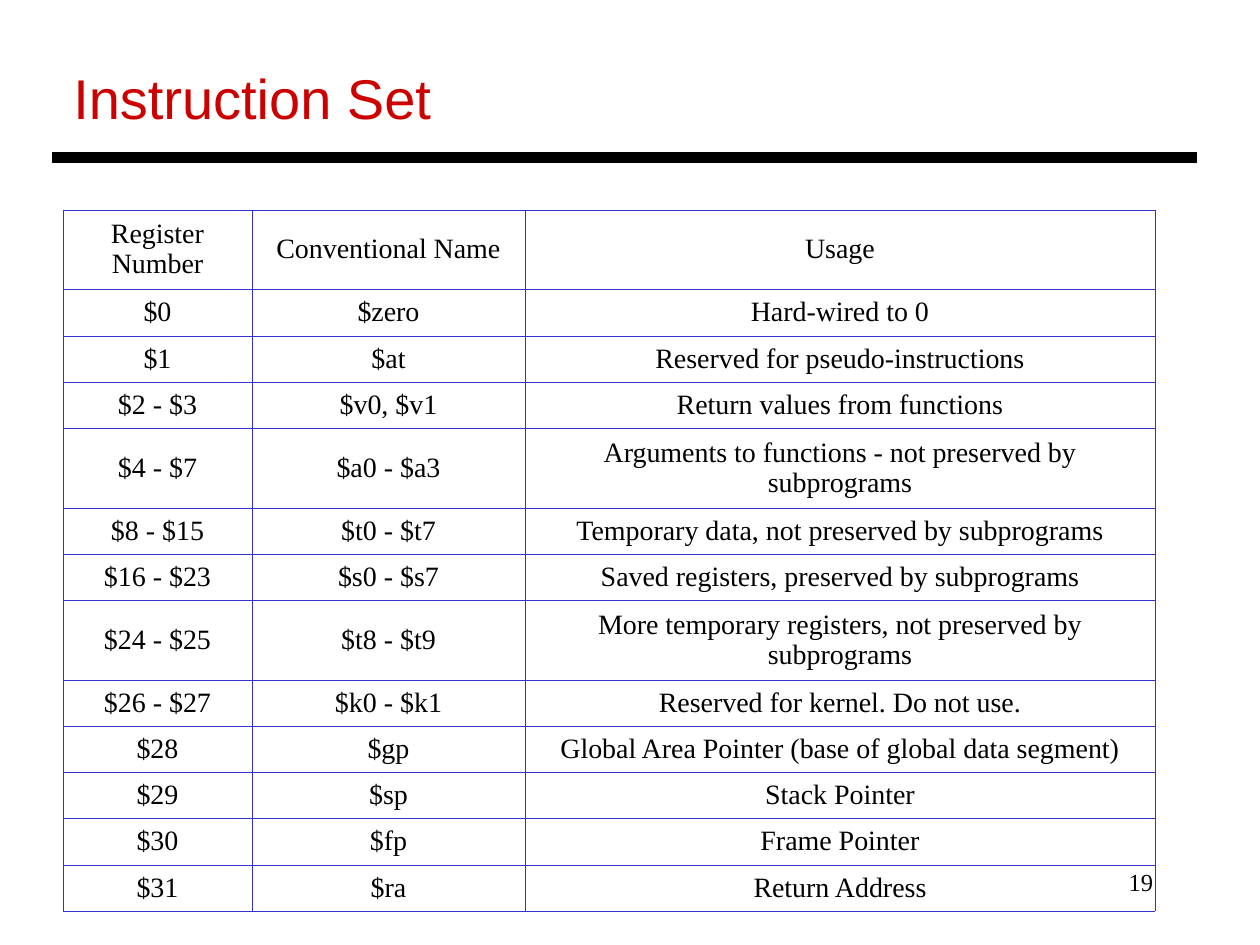
from lxml.etree import SubElement
from pptx import Presentation
from pptx.dml.color import RGBColor
from pptx.enum.shapes import MSO_CONNECTOR
from pptx.enum.text import MSO_ANCHOR, PP_ALIGN
from pptx.oxml import parse_xml
from pptx.oxml.ns import nsdecls, qn
from pptx.util import Pt

BLACK = RGBColor(0x00, 0x00, 0x00)
RED = RGBColor(0xCC, 0x00, 0x00)
BORDER_BLUE = RGBColor(0x33, 0x33, 0xCC)

COLUMN_WIDTHS = [108, 156, 360]
SINGLE_ROW = 26.4
DOUBLE_ROW = 45.6
TWO_LINE_ROWS = {0, 4, 7}

REGISTERS = [
    ("Register Number", "Conventional Name", "Usage"),
    ("$0", "$zero", "Hard-wired to 0"),
    ("$1", "$at", "Reserved for pseudo-instructions"),
    ("$2 - $3", "$v0, $v1", "Return values from functions"),
    ("$4 - $7", "$a0 - $a3", "Arguments to functions - not preserved by subprograms"),
    ("$8 - $15", "$t0 - $t7", "Temporary data, not preserved by subprograms"),
    ("$16 - $23", "$s0 - $s7", "Saved registers, preserved by subprograms"),
    ("$24 - $25", "$t8 - $t9", "More temporary registers, not preserved by subprograms"),
    ("$26 - $27", "$k0 - $k1", "Reserved for kernel. Do not use."),
    ("$28", "$gp", "Global Area Pointer (base of global data segment)"),
    ("$29", "$sp", "Stack Pointer"),
    ("$30", "$fp", "Frame Pointer"),
    ("$31", "$ra", "Return Address"),
]


class SlideBuilder:
    """Holds the text style and the current slide."""

    body_font = "Times New Roman"
    title_font = "Arial"

    def __init__(self, slide):
        self.slide = slide

    def add_run(self, paragraph, text, size, font=body_font, color=BLACK):
        run = paragraph.add_run()
        run.text = text
        run.font.size = Pt(size)
        run.font.name = font
        run.font.color.rgb = color

    def text(self, box, text, size, align=PP_ALIGN.LEFT, wrap=True, **style):
        shape = self.slide.shapes.add_textbox(*map(Pt, box))
        shape.text_frame.word_wrap = wrap
        paragraph = shape.text_frame.paragraphs[0]
        paragraph.alignment = align
        self.add_run(paragraph, text, size, **style)

    def line(self, start, end, width, color=BLACK):
        connector = self.slide.shapes.add_connector(
            MSO_CONNECTOR.STRAIGHT, *map(Pt, start + end))
        connector.line.width = Pt(width)
        connector.line.color.rgb = color
        SubElement(connector._element.spPr, qn("a:effectLst"))

    def border(self, cell, width, color):
        properties = cell._tc.get_or_add_tcPr()
        for position, side in enumerate(("lnL", "lnR", "lnT", "lnB")):
            properties.insert(position, parse_xml(
                f'<a:{side} {nsdecls("a")} w="{Pt(width)}"><a:solidFill>'
                f'<a:srgbClr val="{color}"/></a:solidFill></a:{side}>'))

    def table(self, left, top, rows, column_widths, row_heights, size):
        frame = self.slide.shapes.add_table(
            len(rows), len(column_widths), Pt(left), Pt(top),
            Pt(sum(column_widths)), Pt(sum(row_heights)))
        table = frame.table
        table.first_row = table.horz_banding = False
        for column, width in zip(table.columns, column_widths):
            column.width = Pt(width)
        for row, height, texts in zip(table.rows, row_heights, rows):
            row.height = Pt(height)
            for cell, text in zip(row.cells, texts):
                cell.fill.background()
                cell.vertical_anchor = MSO_ANCHOR.MIDDLE
                cell.margin_left = cell.margin_right = Pt(2.2)
                cell.margin_top = cell.margin_bottom = Pt(3.6)
                paragraph = cell.text_frame.paragraphs[0]
                paragraph.alignment = PP_ALIGN.CENTER
                paragraph.line_spacing = 0.96
                self.add_run(paragraph, text, size)
                self.border(cell, 0.45, BORDER_BLUE)


def main():
    presentation = Presentation()
    presentation.slide_width = Pt(720)
    presentation.slide_height = Pt(540)
    builder = SlideBuilder(presentation.slides.add_slide(presentation.slide_layouts[6]))

    # Page number
    builder.text((516, 492, 150, 36), "19", 14, align=PP_ALIGN.RIGHT)

    # Title and rule
    builder.text((34.8, 33, 219, 46), "Instruction Set", 32, wrap=False,
                 font=SlideBuilder.title_font, color=RED)
    builder.line((30, 90), (684, 90), 6)

    # Register table
    row_heights = [DOUBLE_ROW if index in TWO_LINE_ROWS else SINGLE_ROW
                   for index in range(len(REGISTERS))]
    builder.table(36, 120, REGISTERS, COLUMN_WIDTHS, row_heights, 16)

    presentation.save("out.pptx")


if __name__ == "__main__":
    main()
